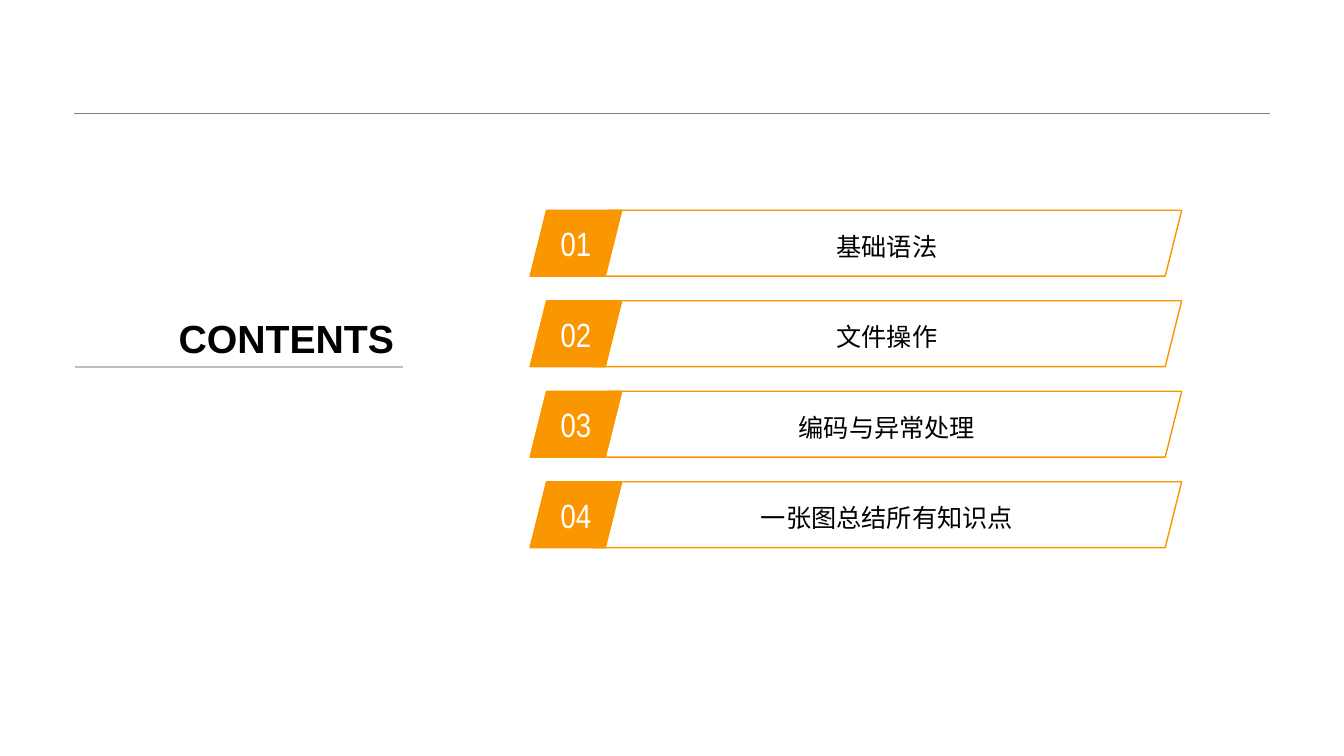
from lxml import etree
from pptx import Presentation
from pptx.dml.color import RGBColor
from pptx.enum import shapes, text
from pptx.oxml.ns import qn
from pptx.util import Cm, Pt

ORANGE = RGBColor(0xFA, 0x96, 0x00)
WHITE = RGBColor(0xFF, 0xFF, 0xFF)
BLACK = RGBColor(0x00, 0x00, 0x00)
GRAY = RGBColor(0x80, 0x80, 0x80)
LIGHT_GRAY = RGBColor(0xBF, 0xBF, 0xBF)


def write(sp, content, size, color=BLACK, font='Arial', bold=False, wrap=True,
          align=text.PP_ALIGN.CENTER, anchor=text.MSO_ANCHOR.MIDDLE, spacing=None):
    tf = sp.text_frame
    tf.word_wrap = wrap
    tf.vertical_anchor = anchor
    p = tf.paragraphs[0]
    p.alignment = align
    p.line_spacing = spacing
    r = p.add_run()
    r.text = content
    r.font.size = Pt(size)
    r.font.name = font
    r.font.bold = bold
    r.font.color.rgb = color


prs = Presentation()
prs.slide_width = Cm(33.87)
prs.slide_height = Cm(19.05)
s = prs.slides.add_slide(prs.slide_layouts[6])

rules = [
    (1.86, 32, 2.85, GRAY, 0.25),
    (1.9, 10.16, 9.25, LIGHT_GRAY, 1.5),
]
for left, right, y, color, width in rules:
    rule = s.shapes.add_connector(shapes.MSO_CONNECTOR.STRAIGHT, Cm(left), Cm(y), Cm(right), Cm(y))
    rule.line.color.rgb = color
    rule.line.width = Pt(width)
    etree.SubElement(rule._element.spPr, qn('a:effectLst'))

title = s.shapes.add_textbox(Cm(4.11), Cm(6.45), Cm(6.07), Cm(2.79))
write(title, 'CONTENTS', 28, bold=True, wrap=False,
      align=text.PP_ALIGN.RIGHT, anchor=text.MSO_ANCHOR.BOTTOM)

topics = ['基础语法', '文件操作', '编码与异常处理', '一张图总结所有知识点']
for i, topic in enumerate(topics):
    top = Cm(5.3 + 2.28 * i)
    badge, bar = [
        s.shapes.add_shape(shapes.MSO_SHAPE.PARALLELOGRAM, Cm(left), top, Cm(width), Cm(1.66))
        for left, width in ((13.36, 2.31), (14.92, 14.86))
    ]
    for sp in (badge, bar):
        sp.shadow.inherit = False
        sp.line.color.rgb = ORANGE
        sp.line.width = Pt(1)
    badge.fill.solid()
    badge.fill.fore_color.rgb = ORANGE
    bar.fill.background()
    write(badge, f'{i + 1:02d}', 24, color=WHITE, font='Arial Narrow', wrap=False)
    write(bar, topic, 18, spacing=1.2)

prs.save("out.pptx")
